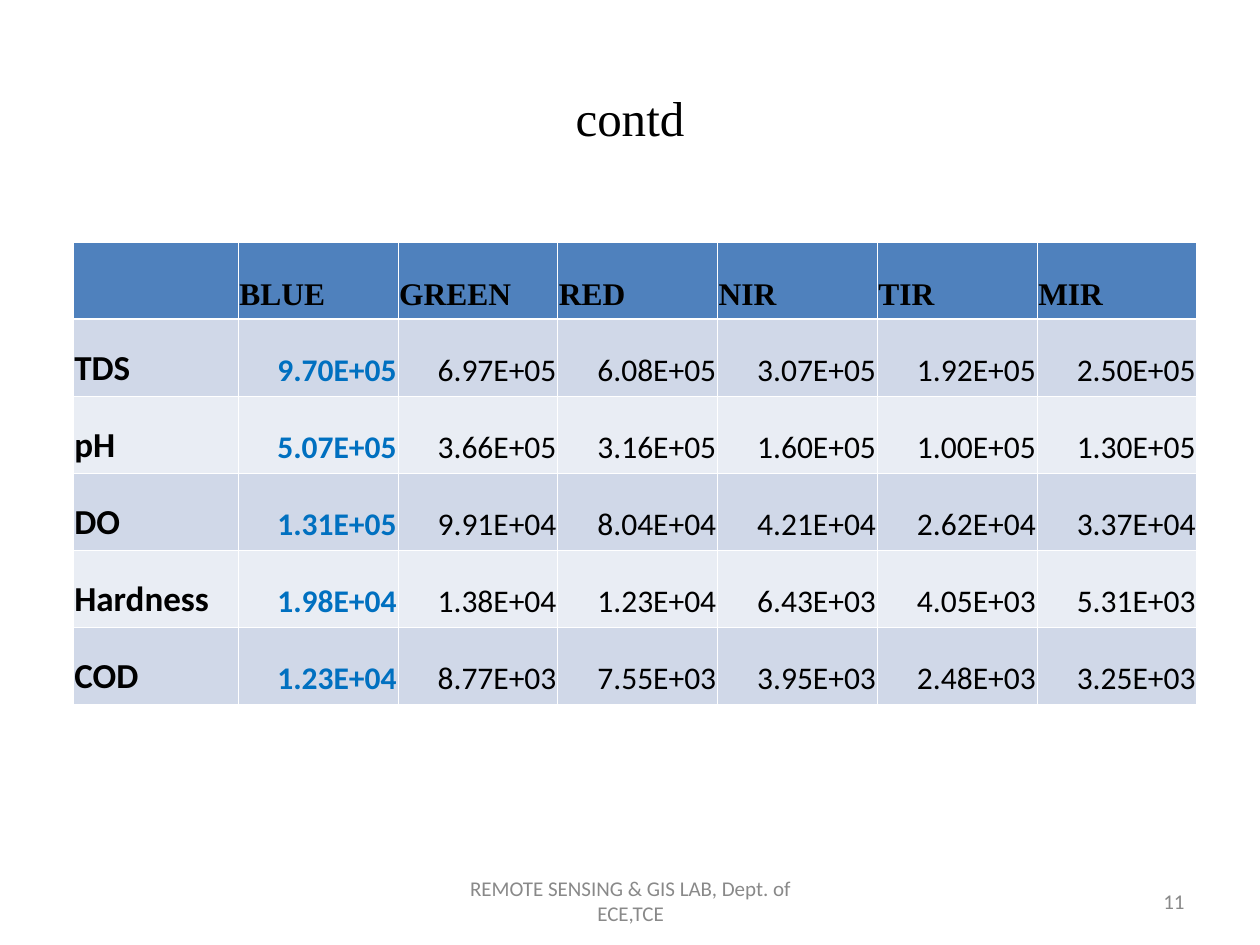
from dataclasses import dataclass

from lxml import etree
from pptx import Presentation
from pptx.dml.color import RGBColor
from pptx.enum.text import MSO_ANCHOR, PP_ALIGN
from pptx.oxml.ns import qn
from pptx.util import Inches, Pt

LEFT, MID, RIGHT = PP_ALIGN.LEFT, PP_ALIGN.CENTER, PP_ALIGN.RIGHT
CENTER, BOTTOM = MSO_ANCHOR.MIDDLE, MSO_ANCHOR.BOTTOM
WIDE, HIGH = 10, 7.5


@dataclass(frozen=True)
class Theme:
    serif: str = "Times New Roman"
    sans: str = "Calibri"
    ink: str = "000000"
    mark: str = "0070C0"
    gray: str = "898989"
    line: str = "FFFFFF"
    head: str = "4F81BD"
    bands: tuple = ("D0D8E8", "E9EDF4")
    title: int = 28
    label: int = 20
    body: int = 18
    foot: int = 12
    thin: float = 0.45
    thick: float = 1.47


THEME = Theme()

HEADS = ["", "BLUE", "GREEN", "RED", "NIR", "TIR", "MIR"]
ROWS = [
    ["TDS", "9.70E+05", "6.97E+05", "6.08E+05", "3.07E+05", "1.92E+05", "2.50E+05"],
    ["pH", "5.07E+05", "3.66E+05", "3.16E+05", "1.60E+05", "1.00E+05", "1.30E+05"],
    ["DO", "1.31E+05", "9.91E+04", "8.04E+04", "4.21E+04", "2.62E+04", "3.37E+04"],
    ["Hardness", "1.98E+04", "1.38E+04", "1.23E+04", "6.43E+03", "4.05E+03", "5.31E+03"],
    ["COD", "1.23E+04", "8.77E+03", "7.55E+03", "3.95E+03", "2.48E+03", "3.25E+03"],
]


def write(frame, text, size, face, color, align, bold=False):
    """Put one styled paragraph in a text frame."""
    para = frame.paragraphs[0]
    para.text = text
    para.alignment = align
    font = para.font
    font.size, font.name, font.bold = Pt(size), face, bold
    font.color.rgb = RGBColor.from_string(color)


def add_title(slide, text):
    title = slide.shapes.title
    title.left, title.top = Inches(0.05 * WIDE), Inches(0.04 * HIGH)
    title.width, title.height = Inches(0.9 * WIDE), Inches(HIGH / 6)
    title.text_frame.vertical_anchor = CENTER
    write(title.text_frame, text, THEME.title, THEME.serif, THEME.ink, MID)


def add_foot(slide, text, left, width, align):
    """Add a footer box; left and width are in inches."""
    box = slide.shapes.add_textbox(
        Inches(left), Inches(6.95), Inches(width), Inches(0.4))
    frame = box.text_frame
    frame.word_wrap = True
    frame.vertical_anchor = CENTER
    write(frame, text, THEME.foot, THEME.sans, THEME.gray, align)


def rule_cell(cell, row):
    """Draw the cell borders, with a thick rule under the header."""
    widths = {
        "a:lnL": THEME.thin,
        "a:lnR": THEME.thin,
        "a:lnT": THEME.thick if row == 1 else THEME.thin,
        "a:lnB": THEME.thick if row == 0 else THEME.thin,
    }
    props = cell._tc.get_or_add_tcPr()
    for tag, width in widths.items():
        line = etree.SubElement(props, qn(tag), w=str(Pt(width)))
        fill = etree.SubElement(line, qn("a:solidFill"))
        etree.SubElement(fill, qn("a:srgbClr"), val=THEME.line)


def cell_style(row, col):
    """Return size, face, colour, alignment and weight for a cell."""
    if row == 0:
        return THEME.body, THEME.serif, THEME.ink, LEFT, True
    if col == 0:
        return THEME.label, THEME.sans, THEME.ink, LEFT, True
    color = THEME.mark if col == 1 else THEME.ink
    return THEME.body, THEME.sans, color, RIGHT, col == 1


def fill_cell(cell, text, row, col):
    cell.margin_left = cell.margin_right = Inches(0.01)
    cell.margin_top = cell.margin_bottom = Inches(0.05)
    cell.vertical_anchor = BOTTOM
    rule_cell(cell, row)
    back = THEME.bands[(row - 1) % 2] if row else THEME.head
    cell.fill.solid()
    cell.fill.fore_color.rgb = RGBColor.from_string(back)
    write(cell.text_frame, text, *cell_style(row, col))


def add_grid(slide, left, top, width, height):
    """Add the band table: a wider label column, then equal columns."""
    data = [HEADS] + ROWS
    frame = slide.shapes.add_table(
        len(data), len(HEADS),
        Inches(left), Inches(top), Inches(width), Inches(height))
    table = frame.table
    first = 1.31
    for col, item in enumerate(table.columns):
        item.width = Inches((width - first) / (len(HEADS) - 1) if col else first)
    for row, texts in enumerate(data):
        for col, text in enumerate(texts):
            fill_cell(table.cell(row, col), text, row, col)


def main():
    deck = Presentation()
    deck.slide_width, deck.slide_height = Inches(WIDE), Inches(HIGH)
    slide = deck.slides.add_slide(deck.slide_layouts[5])

    # Title
    add_title(slide, "contd")
    # Values by band
    add_grid(slide, 0.58, 1.92, 8.92, 3.67)
    # Footer and page number
    add_foot(slide, "REMOTE SENSING & GIS LAB, Dept. of ECE,TCE", 3.42, 3.17, MID)
    add_foot(slide, "11", 7.17, 2.33, RIGHT)

    deck.save("out.pptx")


if __name__ == "__main__":
    main()
